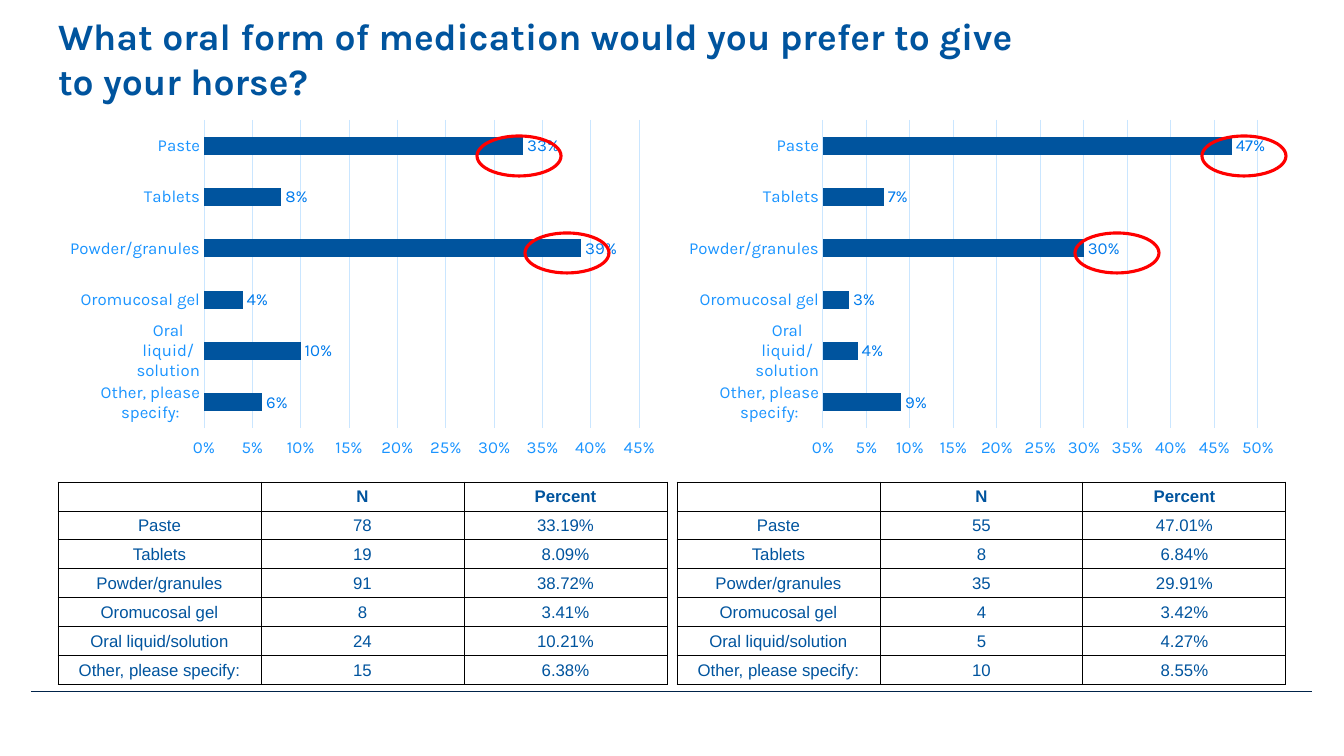
"""Build the slide on the preferred oral form of horse medication."""
from dataclasses import dataclass

import lxml.etree
import pptx
import pptx.chart.data
import pptx.dml.color
import pptx.enum.chart
import pptx.enum.shapes
import pptx.enum.text
import pptx.oxml.ns
import pptx.util

EMU_PER_PX = 914400 / 100.8
NAVY = pptx.dml.color.RGBColor(0x00, 0x54, 0x9E)
SKY = pptx.dml.color.RGBColor(0x1A, 0x94, 0xFF)
LABEL_BLUE = pptx.dml.color.RGBColor(0x00, 0x7B, 0xEC)
PALE = pptx.dml.color.RGBColor(0xCA, 0xE6, 0xFF)
RULE = pptx.dml.color.RGBColor(0x00, 0x23, 0x4A)
RED = pptx.dml.color.RGBColor(0xFF, 0x00, 0x00)
BLACK = pptx.dml.color.RGBColor(0x00, 0x00, 0x00)

CHART_FONT = "Karla"
TABLE_FONT = "Arial"
PANEL_WIDTH = 609
CHART_TOP, CHART_HEIGHT = 113, 352
TABLE_TOP, ROW_HEIGHT = 482, 29
RING_WIDTH, RING_HEIGHT = 84, 40
HEADER = ("", "N", "Percent")
FORMS = ("Paste", "Tablets", "Powder/granules", "Oromucosal gel",
         "Oral liquid/solution", "Other, please specify:")


@dataclass(frozen=True)
class Panel:
    left: int
    axis_maximum: float
    shares: tuple[float, ...]
    counts: tuple[int, ...]
    percents: tuple[str, ...]


@dataclass(frozen=True)
class Ring:
    left: int
    top: int


PANELS = (
    Panel(58, 0.45, (0.33, 0.08, 0.39, 0.04, 0.1, 0.06), (78, 19, 91, 8, 24, 15),
          ("33.19%", "8.09%", "38.72%", "3.41%", "10.21%", "6.38%")),
    Panel(677, 0.5, (0.47, 0.07, 0.3, 0.03, 0.04, 0.09), (55, 8, 35, 4, 5, 10),
          ("47.01%", "6.84%", "29.91%", "3.42%", "4.27%", "8.55%")),
)
RINGS = (Ring(477, 136), Ring(1202, 136), Ring(525, 233), Ring(1075, 233))


def px(length: int) -> pptx.util.Emu:
    return pptx.util.Emu(round(length * EMU_PER_PX))


def set_font(font, name: str, size: float, color, bold: bool = False) -> None:
    font.name = name
    font.size = pptx.util.Pt(size)
    font.bold = bold
    font.color.rgb = color


def set_line(line, color, width: float) -> None:
    line.color.rgb = color
    line.width = pptx.util.Pt(width)


def write_title(page) -> None:
    title = page.shapes.title
    title.left, title.top, title.width, title.height = px(58), px(12), px(969), px(91)
    frame = title.text_frame
    frame.margin_left = frame.margin_top = frame.margin_right = frame.margin_bottom = 0
    frame.vertical_anchor = pptx.enum.text.MSO_ANCHOR.BOTTOM
    frame.word_wrap = True
    para = frame.paragraphs[0]
    para.text = "What oral form of medication would you prefer to give to your horse?"
    para.alignment = pptx.enum.text.PP_ALIGN.LEFT
    para.line_spacing = 1.0
    set_font(para.font, CHART_FONT, 26.6, NAVY, bold=True)


def draw_rule(page) -> None:
    rule = page.shapes.add_connector(
        pptx.enum.shapes.MSO_CONNECTOR.STRAIGHT, px(31), px(691), px(1312), px(691))
    set_line(rule.line, RULE, 0.5)
    lxml.etree.SubElement(rule._element.spPr, pptx.oxml.ns.qn("a:effectLst"))


def draw_chart(page, panel: Panel) -> None:
    data = pptx.chart.data.CategoryChartData(number_format="0%")
    data.categories = FORMS
    data.add_series("Series 1", panel.shares)
    chart = page.shapes.add_chart(
        pptx.enum.chart.XL_CHART_TYPE.BAR_CLUSTERED, px(panel.left), px(CHART_TOP),
        px(PANEL_WIDTH), px(CHART_HEIGHT), data).chart
    chart.has_legend = False
    chart.has_title = False
    set_font(chart.font, CHART_FONT, 10, NAVY)

    forms, shares = chart.category_axis, chart.value_axis
    for axis in (forms, shares):
        axis.major_tick_mark = axis.minor_tick_mark = pptx.enum.chart.XL_TICK_MARK.NONE
        set_font(axis.tick_labels.font, CHART_FONT, 12, SKY)
    forms.reverse_order = True
    set_line(forms.format.line, PALE, 0.75)
    shares.tick_label_position = pptx.enum.chart.XL_TICK_LABEL_POSITION.HIGH
    shares.minimum_scale, shares.maximum_scale = 0, panel.axis_maximum
    shares.major_unit = 0.05
    shares.tick_labels.number_format = "0%"
    shares.tick_labels.number_format_is_linked = False
    shares.format.line.fill.background()
    set_line(shares.major_gridlines.format.line, PALE, 0.75)

    plot = chart.plots[0]
    plot.gap_width = 182
    plot.vary_by_categories = False
    bars = plot.series[0].format.fill
    bars.solid()
    bars.fore_color.rgb = NAVY
    plot.has_data_labels = True
    labels = plot.data_labels
    labels.show_value = True
    labels.number_format = "0%"
    labels.number_format_is_linked = False
    labels.position = pptx.enum.chart.XL_LABEL_POSITION.OUTSIDE_END
    set_font(labels.font, CHART_FONT, 12, LABEL_BLUE)


def add_borders(cell) -> None:
    properties = cell._tc.get_or_add_tcPr()
    for side in ("a:lnL", "a:lnR", "a:lnT", "a:lnB"):
        border = lxml.etree.SubElement(
            properties, pptx.oxml.ns.qn(side), w=str(pptx.util.Pt(0.75)))
        fill = lxml.etree.SubElement(border, pptx.oxml.ns.qn("a:solidFill"))
        lxml.etree.SubElement(fill, pptx.oxml.ns.qn("a:srgbClr"), val=str(BLACK))


def draw_table(page, panel: Panel) -> None:
    rows = (HEADER, *zip(FORMS, panel.counts, panel.percents))
    table = page.shapes.add_table(
        len(rows), len(HEADER), px(panel.left), px(TABLE_TOP),
        px(PANEL_WIDTH), px(ROW_HEIGHT * len(rows))).table
    table.horz_banding = False
    for row_index, row in enumerate(rows):
        for column_index, value in enumerate(row):
            cell = table.cell(row_index, column_index)
            add_borders(cell)
            cell.fill.background()
            cell.margin_top = cell.margin_bottom = 0
            cell.vertical_anchor = pptx.enum.text.MSO_ANCHOR.MIDDLE
            para = cell.text_frame.paragraphs[0]
            para.text = str(value)
            para.alignment = pptx.enum.text.PP_ALIGN.CENTER
            set_font(para.font, TABLE_FONT, 12, NAVY, bold=row_index == 0)


def draw_ring(page, ring: Ring) -> None:
    oval = page.shapes.add_shape(
        pptx.enum.shapes.MSO_SHAPE.OVAL, px(ring.left), px(ring.top),
        px(RING_WIDTH), px(RING_HEIGHT))
    oval.shadow.inherit = False
    oval.fill.background()
    set_line(oval.line, RED, 2.25)


def main() -> None:
    deck = pptx.Presentation()
    deck.slide_width, deck.slide_height = px(1344), px(756)
    page = deck.slides.add_slide(deck.slide_layouts.get_by_name("Title Only"))
    draw_rule(page)
    write_title(page)
    for panel in PANELS:
        draw_chart(page, panel)
        draw_table(page, panel)
    for ring in RINGS:
        draw_ring(page, ring)
    deck.save("out.pptx")


if __name__ == "__main__":
    main()
